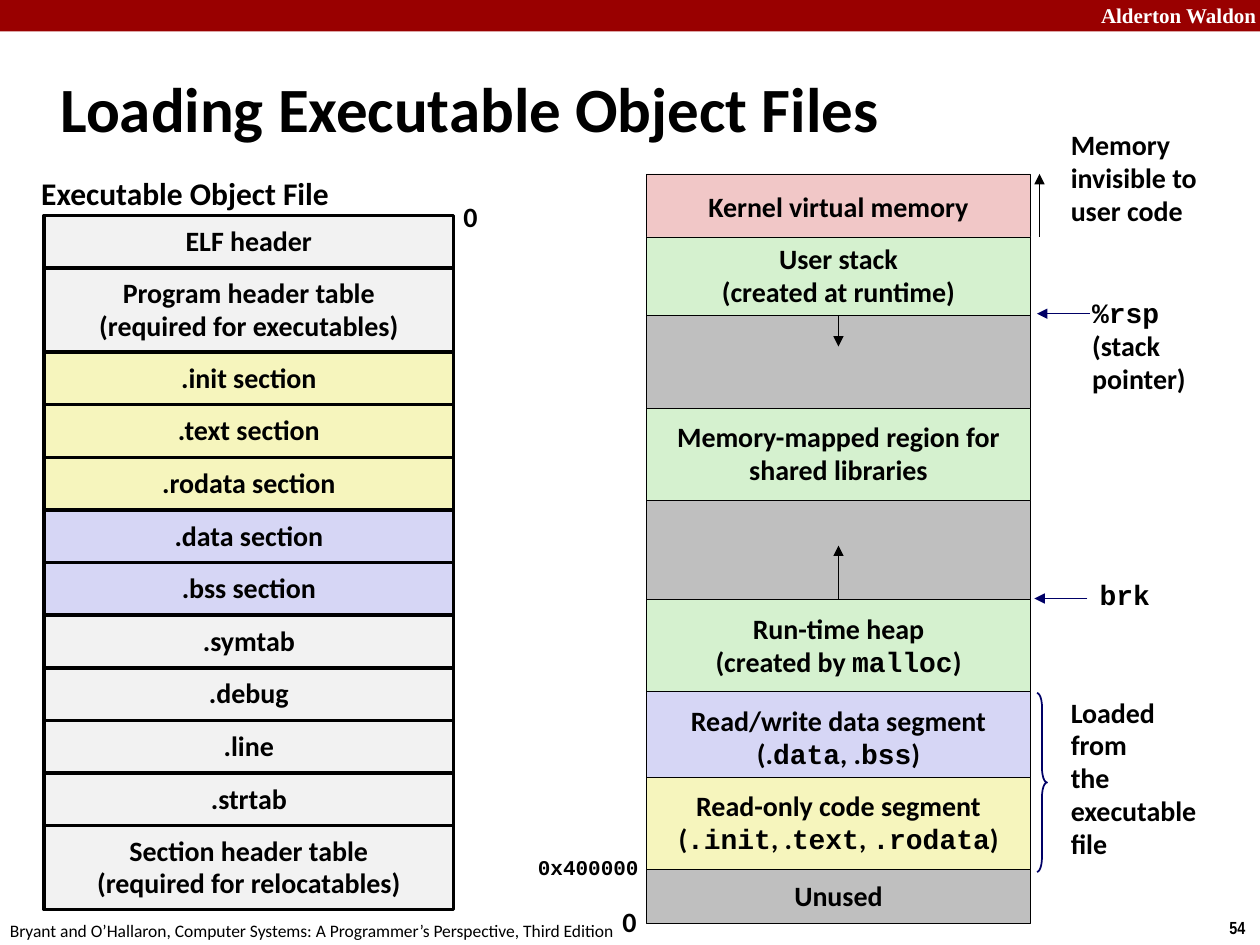
from lxml import etree
from pptx import Presentation
from pptx import util as u
from pptx.dml import color
from pptx.enum import shapes, text
from pptx.oxml import ns

BLACK, NAVY, RED, WHITE = "000000", "000066", "990000", "FFFFFF"
LIGHT, YELLOW, LILAC = "F2F2F2", "F6F5BD", "D6D6F5"
GREEN, PINK, GREY = "D5F1CF", "F1C7C7", "BFBFBF"
LEFT, CENTER = text.PP_ALIGN.LEFT, text.PP_ALIGN.CENTER


def rgb(value):
    """Return the colour for a hex string."""
    return color.RGBColor.from_string(value)


def write(tf, content, size=16, align=LEFT, font="Calibri", ink=BLACK, bold=True, spacing=0.98):
    """Fill a text frame line by line, with parts between backticks in Courier New."""
    for i, line in enumerate(content.split("\n")):
        p = tf.paragraphs[0] if i == 0 else tf.add_paragraph()
        p.alignment, p.line_spacing = align, spacing
        for j, part in enumerate(line.split("`")):
            if part:
                r = p.add_run()
                r.text = part
                r.font.name = "Courier New" if j % 2 else font
                r.font.size, r.font.bold = u.Pt(size), bold
                r.font.color.rgb = rgb(ink)


def add_label(s, x, y, w, h, content, wrap=False, **style):
    """Add a text box that grows with its text."""
    tf = s.shapes.add_textbox(u.Inches(x), u.Inches(y), u.Inches(w), u.Inches(h)).text_frame
    tf.word_wrap = wrap
    tf.auto_size = text.MSO_AUTO_SIZE.SHAPE_TO_FIT_TEXT
    write(tf, content, **style)


def add_block(s, x, y, w, h, content, fill, weight):
    """Add a filled, outlined rectangle with centred text."""
    sp = s.shapes.add_shape(shapes.MSO_SHAPE.RECTANGLE, u.Inches(x), u.Inches(y), u.Inches(w), u.Inches(h))
    sp.shadow.inherit = False
    sp.fill.solid()
    sp.fill.fore_color.rgb = rgb(fill)
    if weight:
        sp.line.color.rgb, sp.line.width = rgb(BLACK), u.Pt(weight)
    else:
        sp.line.fill.background()
    tf = sp.text_frame
    tf.word_wrap, tf.vertical_anchor = False, text.MSO_ANCHOR.MIDDLE
    if content:
        write(tf, content, align=CENTER)
    return sp


def add_arrow(s, x1, y1, x2, y2, ink=BLACK):
    """Add a thin straight arrow that points at its second end."""
    line = s.shapes.add_connector(shapes.MSO_CONNECTOR.STRAIGHT, *map(u.Inches, (x1, y1, x2, y2)))
    line.line.color.rgb, line.line.width = rgb(ink), u.Pt(0.25)
    etree.SubElement(line.line._get_or_add_ln(), ns.qn("a:tailEnd"), type="triangle")
    etree.SubElement(line._element.spPr, ns.qn("a:effectLst"))
    return line


def add_frame(s, w, h):
    """Add the top band, the footer and the slide number."""
    add_block(s, 0, 0, w, 0.25, "", RED, 0)
    add_label(s, w - 1.36, -0.03, 1.43, 0.3, "Alderton Waldon", wrap=True, size=12,
              font="Times New Roman", ink=WHITE, spacing=1)
    add_label(s, w - 0.34, h - 0.27, 0.34, 0.27, "54", size=10, font="Arial Narrow", spacing=1)
    add_label(s, -0.02, h - 0.25, 5.08, 0.27,
              "Bryant and O’Hallaron, Computer Systems: A Programmer’s Perspective, Third Edition",
              size=10, bold=False, spacing=1)


def add_title(s, x, y, w, h, content):
    """Place and format the title placeholder."""
    sp = s.shapes.title
    sp.left, sp.top, sp.width, sp.height = map(u.Inches, (x, y, w, h))
    sp.text_frame.vertical_anchor = text.MSO_ANCHOR.MIDDLE
    write(sp.text_frame, content, size=36, spacing=1)


def add_object_file(s, x, y, w, h):
    """Draw the sections of the object file, with two-line rows 8/5 as tall as the others."""
    rows = [
        ("ELF header", LIGHT), ("Program header table\n(required for executables)", LIGHT),
        (".init section", YELLOW), (".text section", YELLOW), (".rodata section", YELLOW),
        (".data section", LILAC), (".bss section", LILAC),
        (".symtab", LIGHT), (".debug", LIGHT), (".line", LIGHT), (".strtab", LIGHT),
        ("Section header table\n(required for relocatables)", LIGHT),
    ]
    parts = [8 if "\n" in name else 5 for name, _ in rows]
    unit = h / sum(parts)
    for i, (name, fill) in enumerate(rows):
        add_block(s, x, y + unit * sum(parts[:i]), w, unit * parts[i], name, fill, 2)
    add_label(s, x + w - 0.02, y - 0.16, 0.31, 0.37, "0")
    add_label(s, x - 0.13, y - 0.36, 2.5, 0.4, "Executable Object File", size=18, align=CENTER)


def add_memory(s, x, y, w):
    """Draw the memory regions, their growth arrows and the labels on both sides."""
    regions = [
        (0, 0.53, "Kernel virtual memory", PINK),
        (1.12, 0.74, "", GREY),
        (0.5, 0.62, "User stack\n(created at runtime)", GREEN),
        (1.86, 0.73, "Memory-mapped region for\nshared libraries", GREEN),
        (2.59, 0.79, "", GREY),
        (3.38, 0.73, "Run-time heap\n(created by `malloc`)", GREEN),
        (5.52, 0.43, "Unused", GREY),
        (4.11, 0.73, "Read/write data segment\n(.`data`, .`bss`)", LILAC),
        (4.79, 0.73, "Read-only code segment\n(`.init`, .`text`, `.rodata`)", YELLOW),
    ]
    blocks = {name.split("\n")[0]: add_block(s, x, y + top, w, h, name, fill, 0.25)
              for top, h, name, fill in regions}
    mid, right = x + w / 2, x + w
    add_arrow(s, mid, y + 1.12, mid, y + 1.37).begin_connect(blocks["User stack"], 2)
    add_arrow(s, mid, y + 3.38, mid, y + 2.95).begin_connect(blocks["Run-time heap"], 0)
    add_arrow(s, right + 0.07, y + 0.5, right + 0.07, y)
    add_arrow(s, right + 0.47, y + 1.11, right + 0.05, y + 1.11, NAVY)
    add_arrow(s, right + 0.45, y + 3.37, right + 0.03, y + 3.37, NAVY)

    add_label(s, right + 0.22, y - 0.4, 1.44, 0.9, "Memory\ninvisible to user code", wrap=True)
    add_label(s, right + 0.39, y + 0.93, 0.95, 0.88, "`%rsp`\n(stack\npointer)")
    add_label(s, right + 0.45, y + 3.18, 0.6, 0.36, "`brk`", spacing=0.94)
    add_label(s, right + 0.22, y + 4.1, 1.26, 1.42, "Loaded\nfrom\nthe\nexecutable\nfile")
    add_label(s, x - 0.96, y + 5.37, 1.01, 0.3, "`0x400000`", size=12, spacing=0.94)
    add_label(s, x - 0.29, y + 5.76, 0.31, 0.37, "0")

    brace = s.shapes.add_shape(shapes.MSO_SHAPE.RIGHT_BRACE, u.Inches(right + 0.05),
                               u.Inches(y + 4.12), u.Inches(0.08), u.Inches(1.42))
    brace.shadow.inherit = False
    brace.adjustments[0] = 1.42
    brace.fill.background()
    brace.line.color.rgb, brace.line.width = rgb(NAVY), u.Pt(1)


def main():
    """Build the slide and save it."""
    prs = Presentation()
    prs.slide_width, prs.slide_height = u.Inches(10), u.Inches(7.5)
    s = prs.slides.add_slide(prs.slide_layouts[5])
    add_frame(s, 10, 7.5)
    add_title(s, 0.38, 0.42, 9.53, 0.86, "Loading Executable Object Files")
    add_object_file(s, 0.35, 1.71, 3.25, 5.51)
    add_memory(s, 5.13, 1.38, 3.05)
    prs.save("out.pptx")


if __name__ == "__main__":
    main()
